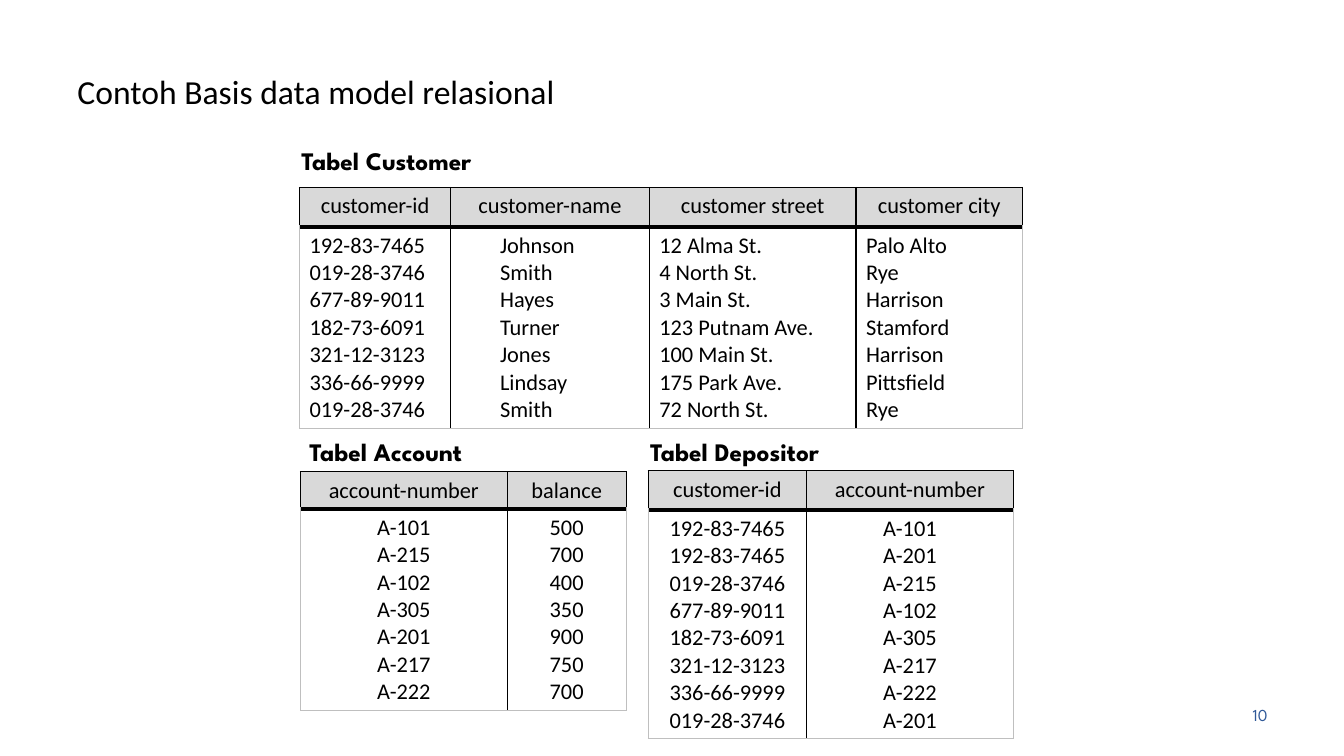
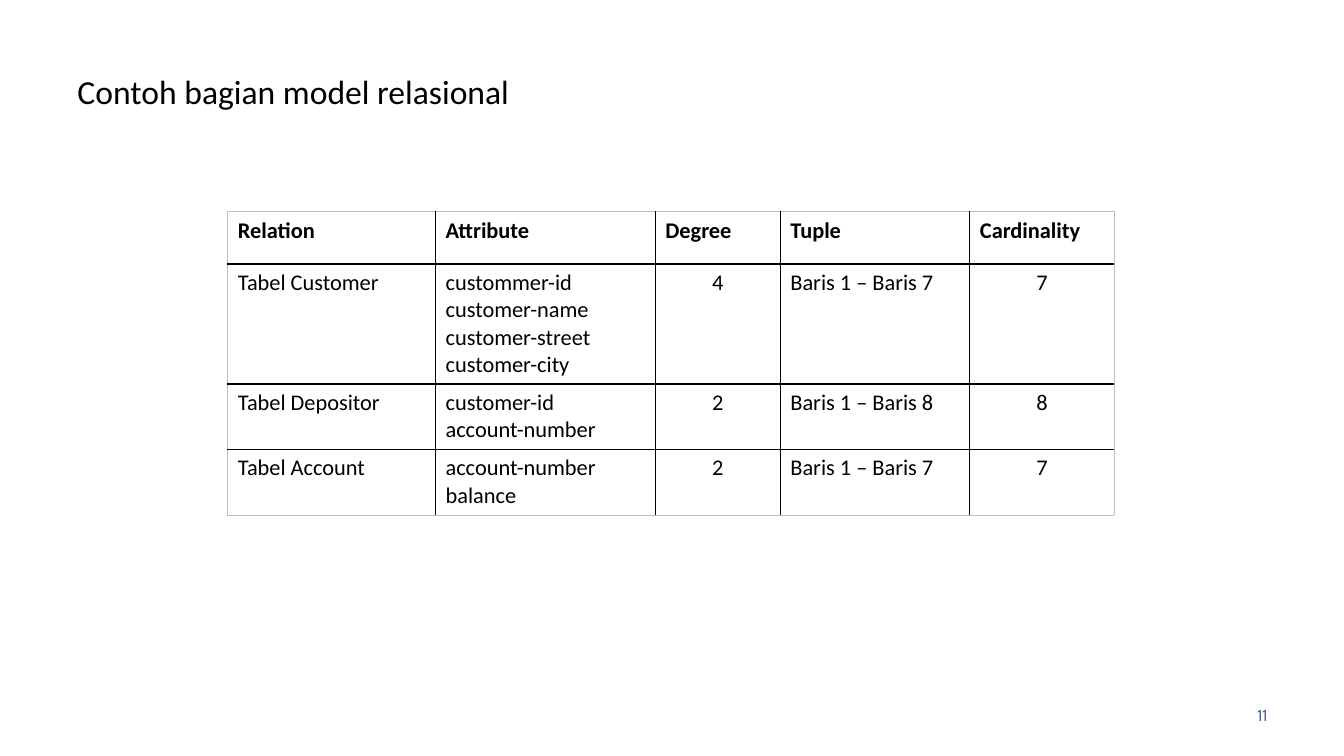
from dataclasses import dataclass
from lxml.etree import SubElement
from pptx import Presentation
from pptx.dml.color import RGBColor
from pptx.enum.text import MSO_ANCHOR, PP_ALIGN
from pptx.oxml.ns import qn
from pptx.util import Pt

PX = 9144  # EMU per px, 100 px to the inch


@dataclass(frozen=True)
class Theme:
    body: str = "Calibri"
    display: str = "League Spartan"
    ink: str = "000000"
    edge: str = "BFBFBF"
    head: str = "D9D9D9"
    number: str = "2F5897"
    title_pt: int = 24
    label_pt: int = 18
    cell_pt: int = 16
    number_pt: int = 12
    edge_pt: float = 0.75
    line_pt: int = 1
    rule_pt: int = 3


T = Theme()
ALIGN = {"l": PP_ALIGN.LEFT, "c": PP_ALIGN.CENTER, "r": PP_ALIGN.RIGHT}
INDENT = 39  # px, for columns marked "i"
FIRST_NUMBER = 10

# Content: cells with several lines are lists; align has one letter per column
CUSTOMER = [
    ["customer-id", "customer-name", "customer street", "customer city"],
    [
        ["192-83-7465", "019-28-3746", "677-89-9011", "182-73-6091",
         "321-12-3123", "336-66-9999", "019-28-3746"],
        ["Johnson", "Smith", "Hayes", "Turner", "Jones", "Lindsay", "Smith"],
        ["12 Alma St.", "4 North St.", "3 Main St.", "123 Putnam Ave.",
         "100 Main St.", "175 Park Ave.", "72 North St."],
        ["Palo Alto", "Rye", "Harrison", "Stamford", "Harrison", "Pittsfield", "Rye"],
    ],
]
ACCOUNT = [
    ["account-number", "balance"],
    [
        ["A-101", "A-215", "A-102", "A-305", "A-201", "A-217", "A-222"],
        ["500", "700", "400", "350", "900", "750", "700"],
    ],
]
DEPOSITOR = [
    ["customer-id", "account-number"],
    [
        ["192-83-7465", "192-83-7465", "019-28-3746", "677-89-9011",
         "182-73-6091", "321-12-3123", "336-66-9999", "019-28-3746"],
        ["A-101", "A-201", "A-215", "A-102", "A-305", "A-217", "A-222", "A-201"],
    ],
]
PARTS = [
    ["Relation", "Attribute", "Degree", "Tuple", "Cardinality"],
    ["Tabel Customer",
     ["custommer-id", "customer-name", "customer-street", "customer-city"],
     "4", "Baris 1 – Baris 7", "7"],
    ["Tabel Depositor", ["customer-id", "account-number"], "2", "Baris 1 – Baris 8", "8"],
    ["Tabel Account", ["account-number", "balance"], "2", "Baris 1 – Baris 7", "7"],
]

SLIDES = [
    dict(
        title="Contoh Basis data model relasional",
        labels=[
            ("Tabel Customer", (289, 139, 211, 40)),
            ("Tabel Account", (297, 428, 198, 40)),
            ("Tabel Depositor", (635, 428, 209, 40)),
        ],
        tables=[
            dict(data=CUSTOMER, at=(297, 186), cols=[150, 197, 205, 165],
                 rows=[39, 200], align="lill", shaded=True),
            dict(data=ACCOUNT, at=(298, 468), cols=[205, 118],
                 rows=[37, 200], align="cc", shaded=True),
            dict(data=DEPOSITOR, at=(643, 467), cols=[157, 205],
                 rows=[39, 227], align="cc", shaded=True),
        ],
    ),
    dict(
        title="Contoh bagian model relasional",
        labels=[],
        tables=[
            dict(data=PARTS, at=(226, 210), cols=[206, 218, 124, 188, 143],
                 rows=[52, 119, 65, 65], align="llclc", shaded=False),
        ],
    ),
]


def px(*values):
    return [v * PX for v in values]


def add_run(p, text, size, font, color, bold=False):
    r = p.add_run()
    r.text = text
    r.font.size, r.font.name, r.font.bold = Pt(size), font, bold
    r.font.color.rgb = RGBColor.from_string(color)


def add_text(s, box, text, size, font, color, bold=False, align="l",
             anchor=MSO_ANCHOR.MIDDLE, wrap=True, spacing=None):
    tf = s.shapes.add_textbox(*px(*box)).text_frame
    tf.word_wrap, tf.vertical_anchor = wrap, anchor
    p = tf.paragraphs[0]
    p.alignment, p.line_spacing = ALIGN[align], spacing
    add_run(p, text, size, font, color, bold)


def set_border(cell, side, color, width):
    ln = SubElement(cell._tc.get_or_add_tcPr(), qn(f"a:ln{side}"), w=str(Pt(width)))
    fill = SubElement(ln, qn("a:solidFill"))
    SubElement(fill, qn("a:srgbClr"), val=color)


def borders(row, col, last_row, last_col, shaded):
    """Sides in schema order: grey on the rim, black inside, a heavy rule below a shaded head."""
    rim, line, rule = (T.edge, T.edge_pt), (T.ink, T.line_pt), (T.ink, T.rule_pt)
    outer = line if shaded and row == 0 else rim
    return {
        "L": outer if col == 0 else line,
        "R": outer if col == last_col else line,
        "T": outer if row == 0 else rule if shaded and row == 1 else line,
        "B": rim if row == last_row else rule if shaded and row == 0 else line,
    }


def fill_cell(cell, lines, align, bold):
    tf = cell.text_frame
    for i, line in enumerate(lines):
        p = tf.add_paragraph() if i else tf.paragraphs[0]
        if align == "i":
            p._p.get_or_add_pPr().set("marL", str(INDENT * PX))
        p.alignment = ALIGN.get(align, PP_ALIGN.LEFT)
        add_run(p, line, T.cell_pt, T.body, T.ink, bold)


def add_grid(s, data, at, cols, rows, align, shaded):
    box = px(*at, sum(cols), sum(rows))
    table = s.shapes.add_table(len(rows), len(cols), *box).table
    table.first_row = table.horz_banding = False
    for column, width in zip(table.columns, cols):
        column.width = width * PX
    for row, height in zip(table.rows, rows):
        row.height = height * PX
    for i, values in enumerate(data):
        head = i == 0
        for j, value in enumerate(values):
            cell = table.cell(i, j)
            lines = [value] if isinstance(value, str) else value
            side = ("c" if shaded else "l") if head else align[j]
            fill_cell(cell, lines, side, head and not shaded)
            edges = borders(i, j, len(rows) - 1, len(cols) - 1, shaded)
            for name, (color, width) in edges.items():
                set_border(cell, name, color, width)
            if head and shaded:
                cell.fill.solid()
                cell.fill.fore_color.rgb = RGBColor.from_string(T.head)
            else:
                cell.fill.background()


def main():
    prs = Presentation()
    prs.slide_width, prs.slide_height = px(1333, 750)
    for number, content in enumerate(SLIDES, FIRST_NUMBER):
        s = prs.slides.add_slide(prs.slide_layouts[6])
        # Title and slide number
        add_text(s, (67, 30, 1200, 125), content["title"],
                 T.title_pt, T.body, T.ink, spacing=0.9)
        add_text(s, (956, 683, 311, 52), str(number),
                 T.number_pt, T.display, T.number, align="r")
        # Tables and their labels
        for table in content["tables"]:
            add_grid(s, **table)
        for text, box in content["labels"]:
            add_text(s, box, text, T.label_pt, T.display, T.ink, bold=True,
                     anchor=MSO_ANCHOR.TOP, wrap=False)
    prs.save("out.pptx")


if __name__ == "__main__":
    main()
